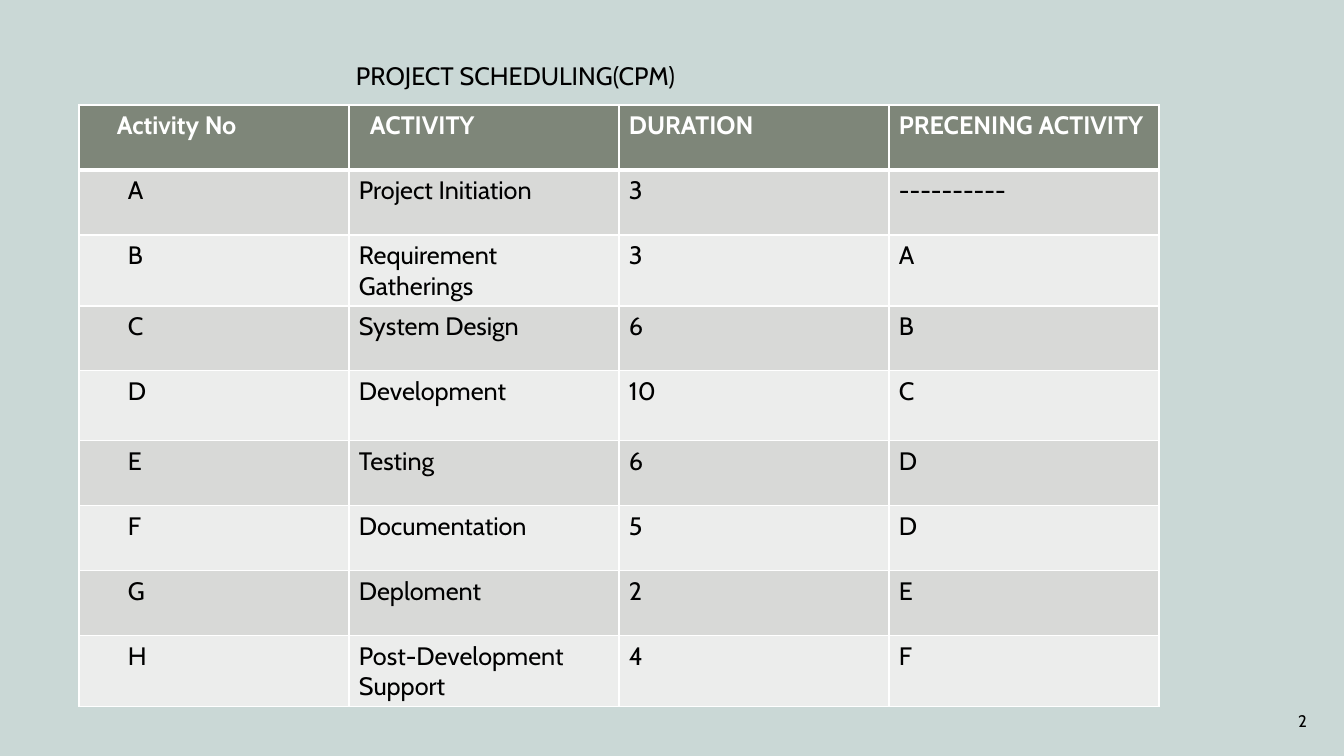
from dataclasses import dataclass

from lxml.etree import SubElement
from pptx import Presentation
from pptx.dml.color import RGBColor
from pptx.enum.text import MSO_ANCHOR, PP_ALIGN
from pptx.oxml.ns import qn
from pptx.slide import Slide
from pptx.table import _Cell
from pptx.text.text import TextFrame
from pptx.util import Emu, Pt

SCALE = 914400 / 100.8  # EMU in one px


@dataclass(frozen=True)
class Theme:
    font: str = "Cabin"
    back: str = "CAD8D6"
    head: str = "7E8679"
    bands: tuple[str, str] = ("D8D9D7", "ECEDEC")
    ink: str = "000000"
    white: str = "FFFFFF"
    body: int = 18
    small: int = 12
    thin: int = 1
    thick: int = 3


@dataclass(frozen=True)
class Label:
    text: str
    left: int
    top: int
    width: int
    height: int
    size: int
    align: PP_ALIGN
    anchor: MSO_ANCHOR


@dataclass(frozen=True)
class Row:
    height: int
    cells: tuple[str, str, str, str]


THEME = Theme()
LEFT, TOP, COL = 79, 105, 270

LABELS = (
    Label("2", 1015, 701, 302, 40, THEME.small, PP_ALIGN.RIGHT, MSO_ANCHOR.MIDDLE),
    Label("PROJECT SCHEDULING(CPM)", 346, 55, 669, 72, THEME.body,
          PP_ALIGN.LEFT, MSO_ANCHOR.TOP),
)

# Left margins of the cells, by column
HEAD_PADS = (38, 21, 10, 10)
BODY_PADS = (49, 10, 10, 10)

ROWS = (
    Row(65, ("Activity No", "ACTIVITY", "DURATION", "PRECENING ACTIVITY")),
    Row(65, ("A", "Project Initiation", "3", "----------")),
    Row(71, ("B", "Requirement\nGatherings", "3", "A")),
    Row(65, ("C", "System Design", "6", "B")),
    Row(70, ("D", "Development", "10", "C")),
    Row(65, ("E", "Testing", "6", "D")),
    Row(65, ("F", "Documentation", "5", "D")),
    Row(65, ("G", "Deploment", "2", "E")),
    Row(71, ("H", "Post-Development\nSupport", "4", "F")),
)


def px(count: int) -> Emu:
    return Emu(round(count * SCALE))


def write(frame: TextFrame, text: str, size: int, ink: str,
          bold: bool = False, align: PP_ALIGN = PP_ALIGN.LEFT) -> None:
    style = {"name": THEME.font, "size": Pt(size), "bold": bold}
    frame.text = text
    for para in frame.paragraphs:
        para.alignment = align
        for run in para.runs:
            for key, value in style.items():
                setattr(run.font, key, value)
            run.font.color.rgb = RGBColor.from_string(ink)


def add_label(slide: Slide, label: Label) -> None:
    box = slide.shapes.add_textbox(
        px(label.left), px(label.top), px(label.width), px(label.height))
    frame = box.text_frame
    frame.word_wrap = True
    frame.vertical_anchor = label.anchor
    write(frame, label.text, label.size, THEME.ink, align=label.align)


def edge(cell: _Cell, sides: dict[str, int]) -> None:
    props = cell._tc.get_or_add_tcPr()
    for spot, (side, width) in enumerate(sides.items()):
        line = props.makeelement(qn(f"a:{side}"), {"w": str(Pt(width))})
        fill = SubElement(line, qn("a:solidFill"))
        SubElement(fill, qn("a:srgbClr"), {"val": THEME.white})
        props.insert(spot, line)


def add_grid(slide: Slide) -> None:
    cols = len(HEAD_PADS)
    high = sum(row.height for row in ROWS)
    grid = slide.shapes.add_table(
        len(ROWS), cols, px(LEFT), px(TOP), px(COL * cols), px(high)).table
    for col in grid.columns:
        col.width = px(COL)
    for r, row in enumerate(ROWS):
        grid.rows[r].height = px(row.height)
        head = r == 0
        pads = HEAD_PADS if head else BODY_PADS
        shade = THEME.head if head else THEME.bands[(r - 1) % 2]
        sides = {
            "lnL": THEME.thin,
            "lnR": THEME.thin,
            "lnT": THEME.thick if r == 1 else THEME.thin,
            "lnB": THEME.thick if head else THEME.thin,
        }
        for c, text in enumerate(row.cells):
            cell = grid.cell(r, c)
            cell.margin_left = px(pads[c])
            cell.fill.solid()
            cell.fill.fore_color.rgb = RGBColor.from_string(shade)
            edge(cell, sides)
            write(cell.text_frame, text, THEME.body,
                  THEME.white if head else THEME.ink, bold=head)


def main() -> None:
    deck = Presentation()
    deck.slide_width, deck.slide_height = px(1344), px(756)
    slide = deck.slides.add_slide(deck.slide_layouts[6])

    # Backdrop
    fill = slide.background.fill
    fill.solid()
    fill.fore_color.rgb = RGBColor.from_string(THEME.back)

    # Title and page number
    for label in LABELS:
        add_label(slide, label)

    # Schedule
    add_grid(slide)
    deck.save("out.pptx")


if __name__ == "__main__":
    main()
